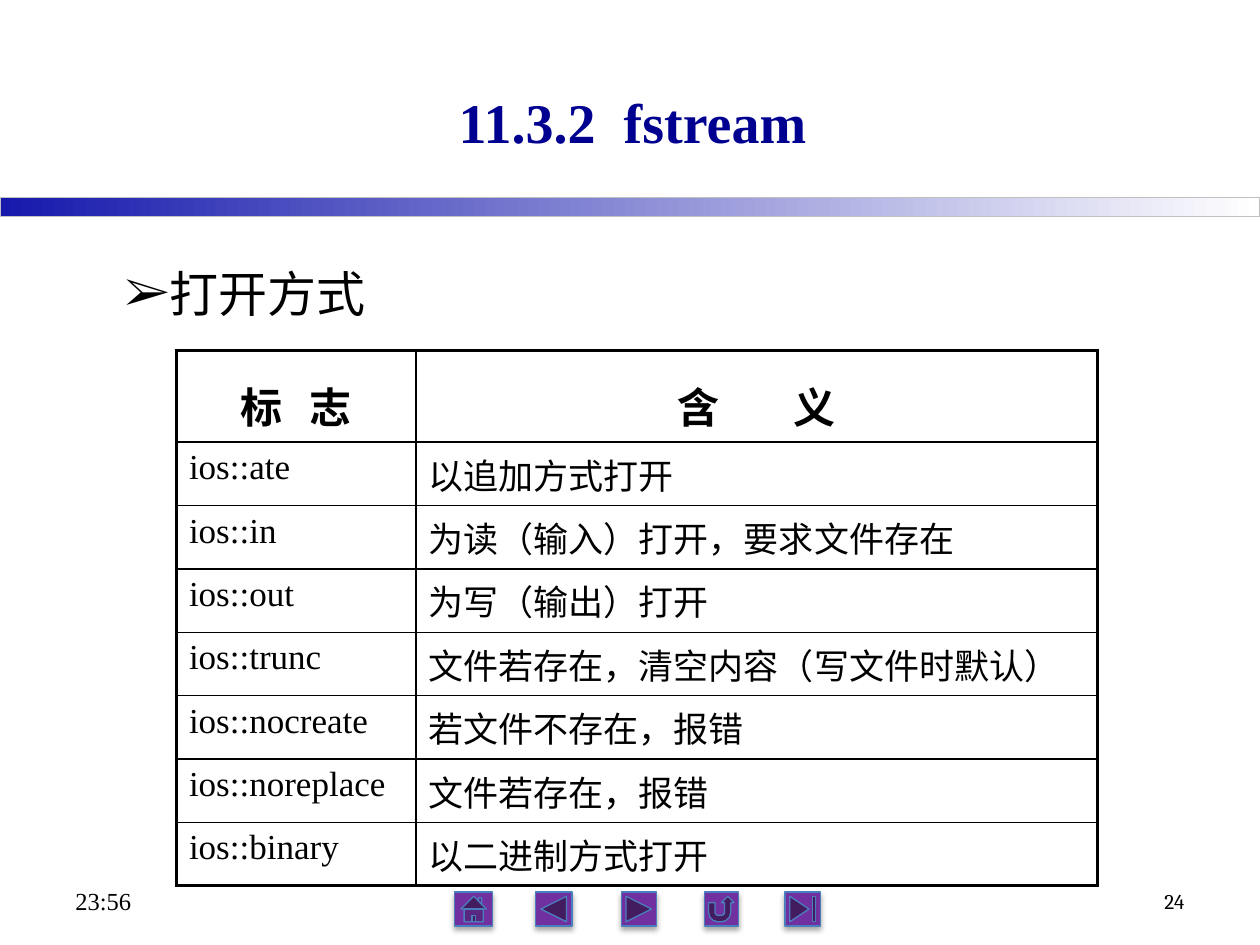
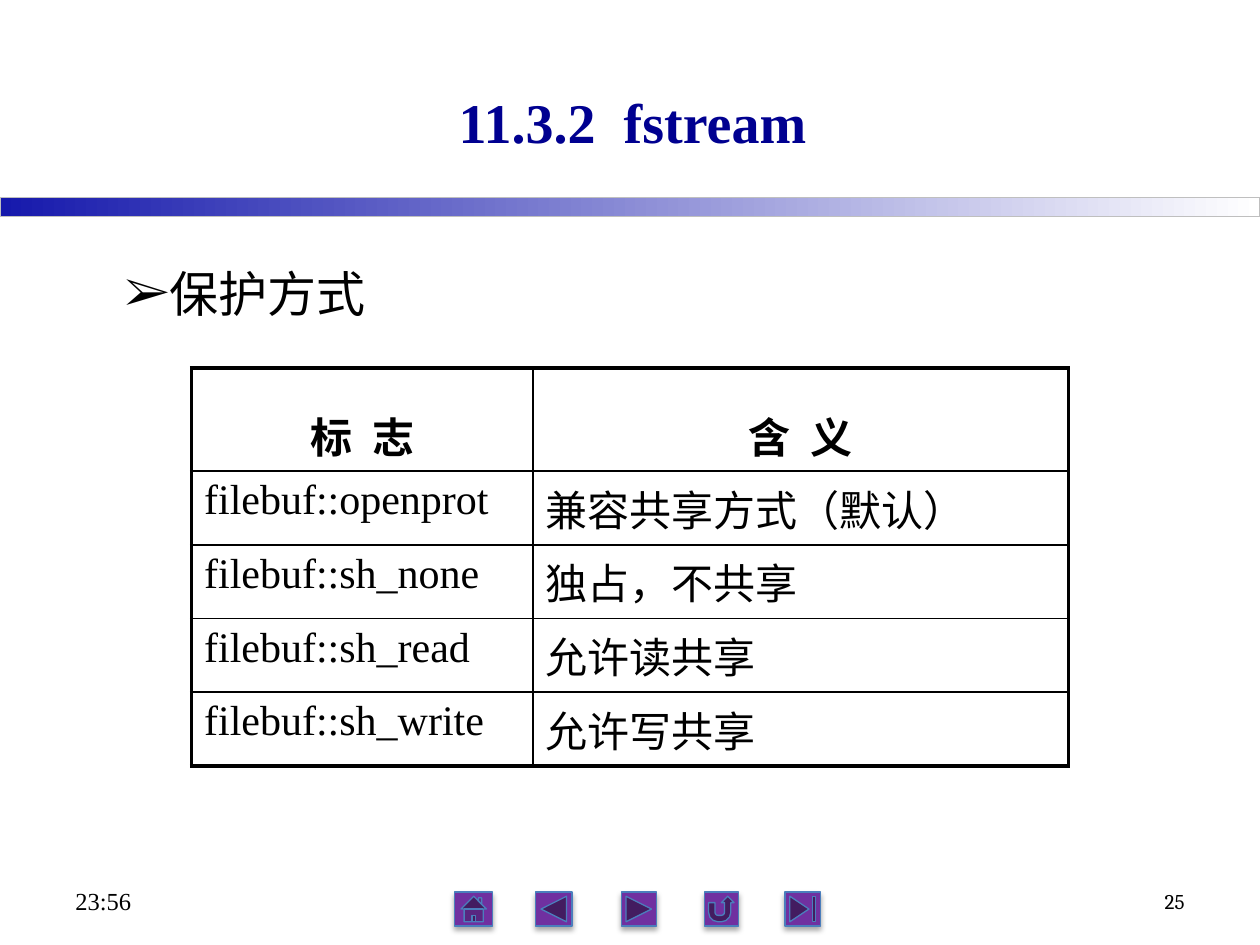
from lxml import etree
from pptx import Presentation
from pptx import util as u
from pptx.dml.color import RGBColor
from pptx.enum import shapes, text
from pptx.oxml import ns

COLORS = {
    "ink": "000000",
    "title": "000090",
    "paper": "FFFFFF",
    "band": "1619AC",
    "band_edge": "BFBFBF",
    "button": "7030A0",
    "button_edge": "4B7EBC",
}
SERIF = "Times New Roman"
CENTER = text.PP_ALIGN.CENTER
MIDDLE = text.MSO_ANCHOR.MIDDLE
THIN, THICK = 1, 2.25

BUTTONS = [
    (shapes.MSO_SHAPE.ACTION_BUTTON_HOME, 3.61, 0.3),
    (shapes.MSO_SHAPE.ACTION_BUTTON_BACK_OR_PREVIOUS, 4.25, 0.29),
    (shapes.MSO_SHAPE.ACTION_BUTTON_FORWARD_OR_NEXT, 4.93, 0.28),
    (shapes.MSO_SHAPE.ACTION_BUTTON_RETURN, 5.59, 0.27),
    (shapes.MSO_SHAPE.ACTION_BUTTON_END, 6.23, 0.28),
]

OPEN_MODES = [
    ("ios::ate", "以追加方式打开"),
    ("ios::in", "为读(输入)打开,要求文件存在"),
    ("ios::out", "为写(输出)打开"),
    ("ios::trunc", "文件若存在,清空内容(写文件时默认)"),
    ("ios::nocreate", "若文件不存在,报错"),
    ("ios::noreplace", "文件若存在,报错"),
    ("ios::binary", "以二进制方式打开"),
]
SHARE_MODES = [
    ("filebuf::openprot", "兼容共享方式(默认)"),
    ("filebuf::sh_none", "独占,不共享"),
    ("filebuf::sh_read", "允许读共享"),
    ("filebuf::sh_write", "允许写共享"),
]
FULL_WIDTH = str.maketrans("(),", "\uff08\uff09\uff0c")


def rgb(name):
    return RGBColor.from_string(COLORS[name])


def child(parent, tag, **attributes):
    return etree.SubElement(parent, ns.qn(tag), attributes)


class Lecture:
    def __init__(self):
        self.deck = Presentation()
        self.deck.slide_width = u.Inches(10)
        self.deck.slide_height = u.Inches(7.5)
        self.slide = None

    def new_slide(self, title, topic, number):
        self.slide = self.deck.slides.add_slide(self.deck.slide_layouts[5])
        self.band()
        for kind, left, width in BUTTONS:
            self.button(kind, left, width)
        self.title(title)
        self.label("23:56", (0.5, 6.95, 2.33, 0.4), 14)
        self.label(number, (7.17, 6.95, 2.33, 0.4), 12, "Cambria", text.PP_ALIGN.RIGHT)
        self.topic(topic)

    def style(self, paragraph, size, face=SERIF, color="ink", bold=False):
        font = paragraph.font
        font.size, font.name, font.bold = u.Pt(size), face, bold
        font.color.rgb = rgb(color)

    def space_before(self, paragraph):
        spacing = child(paragraph._p.get_or_add_pPr(), "a:spcBef")
        child(spacing, "a:spcPct", val="20000")

    def spread(self, paragraph, words, gap):
        for part in words.partition(" "):
            run = paragraph.add_run()
            run.text = part
            if part == " ":
                run._r.get_or_add_rPr().set("spc", str(gap * 100))

    def shape(self, kind, box, edge):
        shape = self.slide.shapes.add_shape(kind, *map(u.Inches, box))
        shape.shadow.inherit = False
        shape.line.color.rgb = rgb(edge)
        shape.line.width = u.Pt(0.75)
        return shape

    def band(self):
        fill = self.shape(shapes.MSO_SHAPE.RECTANGLE, (0, 1.57, 10, 0.15), "band_edge").fill
        fill.gradient()
        fill.gradient_angle = 0
        for stop, position, color in zip(fill.gradient_stops, (0, 1), ("band", "paper")):
            stop.position = position
            stop.color.rgb = rgb(color)

    def button(self, kind, left, width):
        button = self.shape(kind, (left, 7.08, width, 0.27), "button_edge")
        button.fill.solid()
        button.fill.fore_color.rgb = rgb("button")
        effects = button._element.spPr.find(ns.qn("a:effectLst"))
        shadow = child(effects, "a:outerShdw", blurRad=str(u.Pt(3.1)),
                       dist=str(u.Pt(1.8)), dir="5400000", rotWithShape="0")
        child(child(shadow, "a:srgbClr", val=COLORS["ink"]), "a:alpha", val="35000")

    def title(self, words):
        title = self.slide.shapes.title
        title.left, title.top, title.width, title.height = map(u.Inches, (1.02, 0.34, 8, 1.24))
        title.text_frame.vertical_anchor = MIDDLE
        paragraph = title.text_frame.paragraphs[0]
        paragraph.alignment = CENTER
        self.spread(paragraph, words, 8)
        self.style(paragraph, 32, color="title", bold=True)

    def text_box(self, words, box):
        frame = self.slide.shapes.add_textbox(*map(u.Inches, box)).text_frame
        frame.word_wrap = True
        frame.text = words
        return frame

    def label(self, words, box, size, face=SERIF, align=text.PP_ALIGN.LEFT):
        frame = self.text_box(words, box)
        frame.vertical_anchor = MIDDLE
        frame.paragraphs[0].alignment = align
        self.style(frame.paragraphs[0], size, face)

    def topic(self, words):
        paragraph = self.text_box(words, (0.89, 1.95, 8.34, 4.74)).paragraphs[0]
        paragraph.line_spacing = 1.2
        self.space_before(paragraph)
        properties = paragraph._p.get_or_add_pPr()
        properties.set("marL", str(u.Inches(0.3)))
        properties.set("indent", str(u.Inches(-0.3)))
        child(properties, "a:buFont", typeface=SERIF)
        child(properties, "a:buChar", char="➢")
        self.style(paragraph, 28)

    def borders(self, cell, left, right, top, bottom):
        properties = cell._tc.get_or_add_tcPr()
        for tag, outer in zip(("a:lnL", "a:lnR", "a:lnT", "a:lnB"), (left, right, top, bottom)):
            line = child(properties, tag, w=str(u.Pt(THICK if outer else THIN)))
            child(child(line, "a:solidFill"), "a:srgbClr", val=COLORS["ink"])

    def flag_table(self, modes, corner, columns, height, header, size, leading, gaps):
        box = (*corner, sum(columns), height)
        heights = [header] + [(height - header) / len(modes)] * len(modes)
        table = self.slide.shapes.add_table(len(heights), 2, *map(u.Inches, box)).table
        table.first_row = table.horz_banding = False
        for column, width in zip(table.columns, columns):
            column.width = u.Inches(width)
        for table_row, row_height in zip(table.rows, heights):
            table_row.height = u.Inches(row_height)
        for r, entries in enumerate([("标 志", "含 义")] + modes):
            for c, words in enumerate(entries):
                cell = table.cell(r, c)
                self.borders(cell, c == 0, c == 1, r == 0, r == len(modes))
                cell.fill.solid()
                cell.fill.fore_color.rgb = rgb("paper")
                paragraph = cell.text_frame.paragraphs[0]
                if r == 0:
                    paragraph.alignment = CENTER
                    paragraph.line_spacing = leading
                    self.spread(paragraph, words, gaps[c])
                else:
                    paragraph.text = words.translate(FULL_WIDTH)
                self.space_before(paragraph)
                self.style(paragraph, size if r else 24, bold=r == 0)


lecture = Lecture()

lecture.new_slide("11.3.2 fstream", "打开方式", "24")
lecture.flag_table(OPEN_MODES, (1.4, 2.78), (1.9, 5.41), height=4.25, header=0.73,
                   size=20, leading=1.3, gaps=(10, 37))

lecture.new_slide("11.3.2 fstream", "保护方式", "25")
lecture.flag_table(SHARE_MODES, (1.52, 2.92), (2.71, 4.25), height=3.16, header=0.82,
                   size=24, leading=1.5, gaps=(6, 6))

lecture.deck.save("out.pptx")
